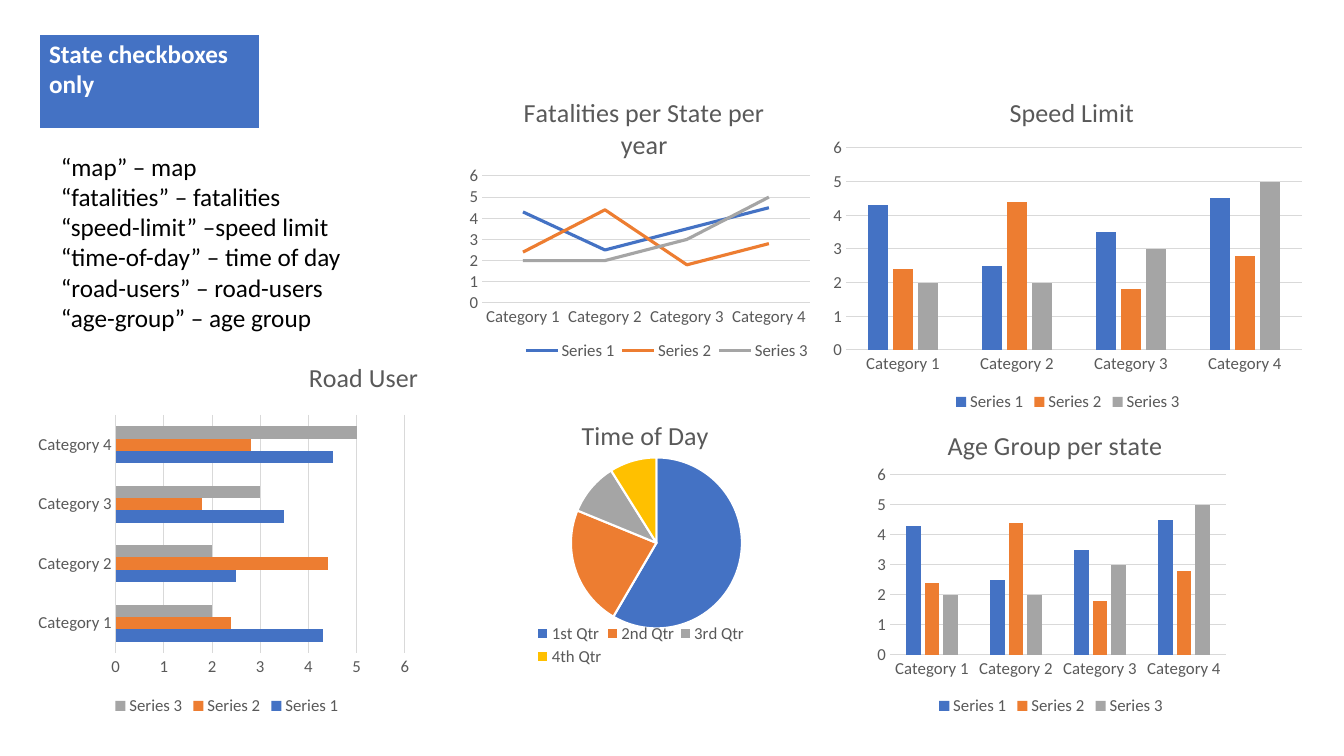
import lxml.etree
import pptx
import pptx.chart.data
import pptx.dml.color
import pptx.enum.chart
import pptx.oxml
import pptx.oxml.ns
import pptx.util

# Content; boxes are (left, top, width, height) in px
SLIDE = (1344, 756)
COLOURS = {
    "blue": "4472C4", "orange": "ED7D31", "grey": "A5A5A5", "gold": "FFC000",
    "text": "595959", "grid": "D9D9D9", "white": "FFFFFF", "black": "000000",
}
PALETTE = ["blue", "orange", "grey", "gold"]
FONT = "Calibri"

BANNER = {"text": "State checkboxes only", "box": (39, 34, 221, 96)}
LABELS = {
    "box": (51, 146, 319, 194),
    "lines": [
        "“map” – map",
        "“fatalities” – fatalities",
        "“speed-limit” –speed limit",
        "“time-of-day” – time of day",
        "“road-users” – road-users",
        "“age-group” – age group",
    ],
}

CATEGORIES = ["Category 1", "Category 2", "Category 3", "Category 4"]
SERIES = {
    "Series 1": [4.3, 2.5, 3.5, 4.5],
    "Series 2": [2.4, 4.4, 1.8, 2.8],
    "Series 3": [2, 2, 3, 5],
}
QUARTERS = ["1st Qtr", "2nd Qtr", "3rd Qtr", "4th Qtr"]
QUARTER_SHARES = {"Series 1": [59, 23, 10, 9]}

# "title" is the title's corner, "plot" the inner plot area, both on the slide
CHARTS = [
    {"name": "Road User", "kind": "BAR_CLUSTERED", "box": (32, 347, 391, 373),
     "title": (305, 354), "plot": (116, 415, 290, 238), "gap": 182, "overlap": 0},
    {"name": "Time of Day", "kind": "PIE", "box": (492, 394, 296, 278),
     "title": (577, 413), "plot": (571, 451, 171, 184), "legend": (532, 620, 218, 50)},
    {"name": "Age Group per state", "kind": "COLUMN_CLUSTERED", "box": (869, 404, 364, 316),
     "title": (943, 422), "plot": (890, 475, 336, 180), "gap": 219, "overlap": -27},
    {"name": "Fatalities per State per year", "kind": "LINE", "box": (463, 74, 355, 295),
     "title": (519, 89), "plot": (482, 176, 328, 127), "legend": (518, 338, 298, 25)},
    {"name": "Speed Limit", "kind": "COLUMN_CLUSTERED", "box": (824, 71, 488, 345),
     "title": (1005, 90), "plot": (846, 148, 456, 202), "gap": 219, "overlap": -27},
]


def px(length):
    return round(length * 914400 / 100.8)


def colour(name):
    return pptx.dml.color.RGBColor.from_string(COLOURS[name])


def set_font(font, size, name, bold=False):
    font.name, font.size, font.bold = FONT, pptx.util.Pt(size), bold
    font.color.rgb = colour(name)


def set_line(line, name, width):
    line.color.rgb = colour(name)
    line.width = pptx.util.Pt(width)


def place(element, chart_box, part_box, inner=False):
    """Fix a chart part at a slide position, as fractions of the chart."""
    tag = pptx.oxml.ns.qn
    for old in element.findall(tag("c:layout")):
        element.remove(old)
    layout = lxml.etree.Element(tag("c:layout"))
    manual = lxml.etree.SubElement(layout, tag("c:manualLayout"))
    settings = [("layoutTarget", "inner")] if inner else []
    settings += [("xMode", "edge"), ("yMode", "edge")]
    left, top, width, height = chart_box
    origin, extent = (left, top, 0, 0), (width, height, width, height)
    for key, value, start, whole in zip("xywh", part_box, origin, extent):
        settings.append((key, f"{(value - start) / whole:.4f}"))
    for key, value in settings:
        lxml.etree.SubElement(manual, tag("c:" + key)).set("val", value)
    before = element.find(tag("c:tx"))
    if before is None:
        before = element.find(tag("c:legendPos"))
    if before is None:
        element.insert(0, layout)
    else:
        before.addnext(layout)


def style_axes(chart):
    none = pptx.enum.chart.XL_TICK_MARK.NONE
    for axis in (chart.category_axis, chart.value_axis):
        axis.major_tick_mark = axis.minor_tick_mark = none
        set_font(axis.tick_labels.font, 12, "text")
    chart.category_axis.has_major_gridlines = False
    set_line(chart.category_axis.format.line, "grid", 0.75)
    values = chart.value_axis
    values.minimum_scale, values.maximum_scale, values.major_unit = 0, 6, 1
    values.format.line.fill.background()
    set_line(values.major_gridlines.format.line, "grid", 0.75)


def style_series(plot, item):
    plot.vary_by_categories = item["kind"] == "PIE"
    if "gap" in item:
        plot.gap_width, plot.overlap = item["gap"], item["overlap"]
    for series, name in zip(plot.series, PALETTE):
        if item["kind"] == "LINE":
            series.smooth = False
            set_line(series.format.line, name, 2.25)
        elif item["kind"] == "PIE":
            for index, slice_name in enumerate(PALETTE):
                part = series.points[index].format
                part.fill.solid()
                part.fill.fore_color.rgb = colour(slice_name)
                set_line(part.line, "white", 1.5)
        else:
            series.format.fill.solid()
            series.format.fill.fore_color.rgb = colour(name)


def add_chart(page, item):
    pie = item["kind"] == "PIE"
    data = pptx.chart.data.CategoryChartData()
    data.categories = QUARTERS if pie else CATEGORIES
    for name, values in (QUARTER_SHARES if pie else SERIES).items():
        data.add_series(name, values)
    kind = pptx.enum.chart.XL_CHART_TYPE[item["kind"]]
    chart = page.shapes.add_chart(kind, *map(px, item["box"]), data).chart
    set_font(chart.font, 12, "text")

    para = chart.chart_title.text_frame.paragraphs[0]
    para.text = item["name"]
    set_font(para.font, 18.6, "text")
    chart.chart_title.include_in_layout = False
    chart.has_legend = True
    chart.legend.position = pptx.enum.chart.XL_LEGEND_POSITION.BOTTOM
    chart.legend.include_in_layout = False
    set_font(chart.legend.font, 12, "text")

    if not pie:
        style_axes(chart)
    style_series(chart.plots[0], item)
    plot_area = chart.plots[0]._element.getparent()
    place(chart.chart_title._element, item["box"], item["title"])
    place(plot_area, item["box"], item["plot"], inner=True)
    if "legend" in item:
        place(chart.legend._element, item["box"], item["legend"])


def add_banner(page):
    table = page.shapes.add_table(1, 1, *map(px, BANNER["box"])).table
    table.horz_banding = False
    cell = table.cell(0, 0)
    cell.text = BANNER["text"]
    set_font(cell.text_frame.paragraphs[0].font, 18, "white", bold=True)
    properties = cell._tc.get_or_add_tcPr()
    for side, points in (("L", 1), ("R", 1), ("T", 1), ("B", 3)):
        properties.append(pptx.oxml.parse_xml(
            f'<a:ln{side} {pptx.oxml.ns.nsdecls("a")} w="{points * 12700}"><a:solidFill>'
            f'<a:srgbClr val="{COLOURS["white"]}"/></a:solidFill></a:ln{side}>'))
    cell.fill.solid()
    cell.fill.fore_color.rgb = colour("blue")


def add_labels(page):
    frame = page.shapes.add_textbox(*map(px, LABELS["box"])).text_frame
    frame.word_wrap = True
    frame.text = "\n".join(LABELS["lines"])
    for para in frame.paragraphs:
        set_font(para.font, 18, "black")


def main():
    deck = pptx.Presentation()
    deck.slide_width, deck.slide_height = map(px, SLIDE)
    page = deck.slides.add_slide(deck.slide_layouts[6])
    add_banner(page)
    for item in CHARTS:
        add_chart(page, item)
    add_labels(page)
    deck.save("out.pptx")


if __name__ == "__main__":
    main()
